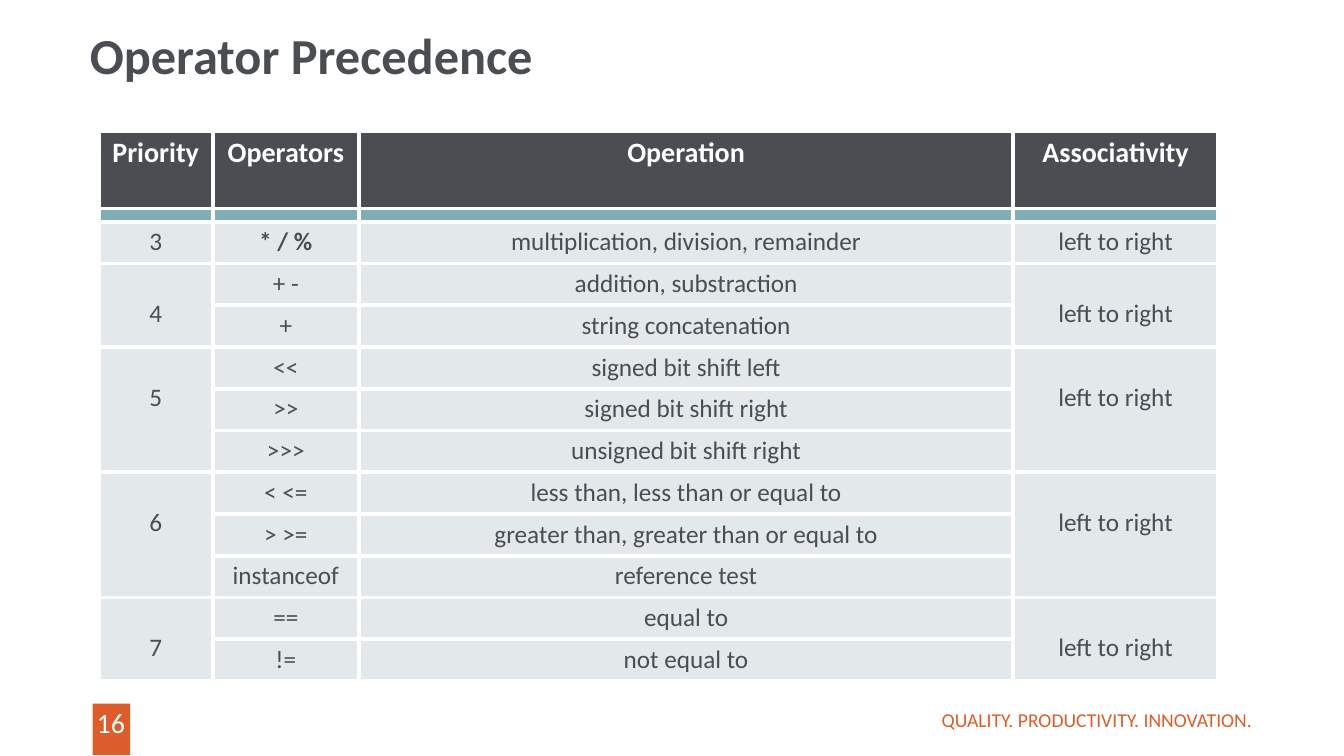
from lxml.etree import SubElement
from pptx import Presentation
from pptx.dml.color import RGBColor
from pptx.enum.shapes import MSO_SHAPE
from pptx.enum.text import MSO_ANCHOR, MSO_AUTO_SIZE, PP_ALIGN
from pptx.oxml.ns import qn
from pptx.util import Inches, Pt

COLORS = {
    "dark": "4A4E52",
    "teal": "81ADB5",
    "light": "E3E8EB",
    "orange": "DC5D2A",
    "white": "FFFFFF",
}
HEADERS = ["Priority", "Operators", "Operation", "Associativity"]
GROUPS = [
    ("3", [("* / %", "multiplication, division, remainder")]),
    ("4", [("+ -", "addition, substraction"), ("+", "string concatenation")]),
    ("5", [("<<", "signed bit shift left"),
           (">>", "signed bit shift right"),
           (">>>", "unsigned bit shift right")]),
    ("6", [("< <=", "less than, less than or equal to"),
           ("> >=", "greater than, greater than or equal to"),
           ("instanceof", "reference test")]),
    ("7", [("==", "equal to"), ("!=", "not equal to")]),
]
ASSOCIATIVITY = "left to right"
COLUMN_WIDTHS = [1.13, 1.45, 6.49, 2.03]
HEADER_HEIGHT, BAND_HEIGHT, TABLE_HEIGHT = 0.77, 0.13, 5.46


def color(name):
    return RGBColor.from_string(COLORS[name])


def set_attributes(target, values):
    for name, value in values.items():
        setattr(target, name, value)


def write(frame, text, size, color_name, bold=False, **paragraph_format):
    paragraph = frame.paragraphs[0]
    set_attributes(paragraph, paragraph_format)
    run = paragraph.add_run()
    run.text = text
    set_attributes(run.font, {"name": "Calibri", "size": Pt(size), "bold": bold})
    run.font.color.rgb = color(color_name)


def add_title(slide, text):
    title = slide.shapes.title
    set_attributes(title, {"left": Inches(0.89), "top": Inches(0.26),
                           "width": Inches(9.31), "height": Inches(1.19)})
    set_attributes(title.text_frame, {
        "margin_left": 0, "margin_top": Inches(0.05),
        "margin_right": Inches(0.1), "margin_bottom": Inches(0.05),
        "vertical_anchor": MSO_ANCHOR.TOP, "word_wrap": True,
        "auto_size": MSO_AUTO_SIZE.NONE})
    write(title.text_frame, text, 36, "dark", True,
          alignment=PP_ALIGN.LEFT, line_spacing=0.9)


def add_text(slide, box, text, size, color_name, alignment, anchor):
    frame = slide.shapes.add_textbox(*map(Inches, box)).text_frame
    set_attributes(frame, {"margin_left": 0, "margin_top": 0, "margin_right": 0,
                           "margin_bottom": 0, "word_wrap": True,
                           "vertical_anchor": anchor})
    write(frame, text, size, color_name, alignment=alignment)


def add_number_tab(slide):
    shape = slide.shapes.add_shape(
        MSO_SHAPE.RECTANGLE, *map(Inches, (0.92, 6.98, 0.37, 0.51)))
    shape.shadow.inherit = False
    shape.fill.solid()
    shape.fill.fore_color.rgb = color("orange")
    shape.line.fill.background()


def style_cell(cell, fill_name):
    properties = cell._tc.get_or_add_tcPr()
    for side in ("a:lnL", "a:lnR", "a:lnT", "a:lnB"):
        border = SubElement(properties, qn(side), w=str(Pt(3)))
        fill = SubElement(border, qn("a:solidFill"))
        SubElement(fill, qn("a:srgbClr"), val=COLORS["white"])
    cell.fill.solid()
    cell.fill.fore_color.rgb = color(fill_name)


def shrink_empty_cell(cell):
    set_attributes(cell, {"margin_top": 0, "margin_bottom": 0})
    paragraph = cell.text_frame.paragraphs[0]._p
    SubElement(paragraph, qn("a:endParaRPr"), sz="400")


def write_cell(cell, text, size=18, color_name="dark", bold=False):
    write(cell.text_frame, text, size, color_name, bold, alignment=PP_ALIGN.CENTER)


def add_group(table, first_row, priority, operators):
    last_row = first_row + len(operators) - 1
    for column, text in ((0, priority), (3, ASSOCIATIVITY)):
        cell = table.cell(first_row, column)
        if last_row > first_row:
            cell.merge(table.cell(last_row, column))
            cell.margin_top = Inches(0.35)
        write_cell(cell, text)
    for row, (symbol, operation) in enumerate(operators, first_row):
        write_cell(table.cell(row, 1), symbol, bold=symbol == "* / %")
        write_cell(table.cell(row, 2), operation)


def add_precedence_table(slide):
    body_count = sum(len(operators) for _, operators in GROUPS)
    body_height = (TABLE_HEIGHT - HEADER_HEIGHT - BAND_HEIGHT) / body_count
    heights = [HEADER_HEIGHT, BAND_HEIGHT] + [body_height] * body_count
    fills = ["dark", "teal"] + ["light"] * body_count
    table = slide.shapes.add_table(
        len(heights), len(HEADERS),
        *map(Inches, (0.98, 1.3, sum(COLUMN_WIDTHS), TABLE_HEIGHT))).table
    for column, width in zip(table.columns, COLUMN_WIDTHS):
        column.width = Inches(width)
    for row, height, fill_name in zip(table.rows, heights, fills):
        row.height = Inches(height)
        for cell in row.cells:
            style_cell(cell, fill_name)
    for column, text in enumerate(HEADERS):
        write_cell(table.cell(0, column), text, 20, "white", True)
        shrink_empty_cell(table.cell(1, column))
    first_row = 2
    for priority, operators in GROUPS:
        add_group(table, first_row, priority, operators)
        first_row += len(operators)


def main():
    presentation = Presentation()
    set_attributes(presentation, {"slide_width": Inches(13.33),
                                  "slide_height": Inches(7.5)})
    slide = presentation.slides.add_slide(presentation.slide_layouts[5])
    add_number_tab(slide)
    add_text(slide, (0.86, 7, 0.48, 0.34), "16", 20, "white",
             PP_ALIGN.CENTER, MSO_ANCHOR.TOP)
    add_title(slide, "Operator Precedence")
    add_text(slide, (8.35, 6.94, 4.07, 0.4), "QUALITY. PRODUCTIVITY. INNOVATION.",
             14, "orange", PP_ALIGN.RIGHT, MSO_ANCHOR.MIDDLE)
    add_precedence_table(slide)
    presentation.save("out.pptx")


if __name__ == "__main__":
    main()
